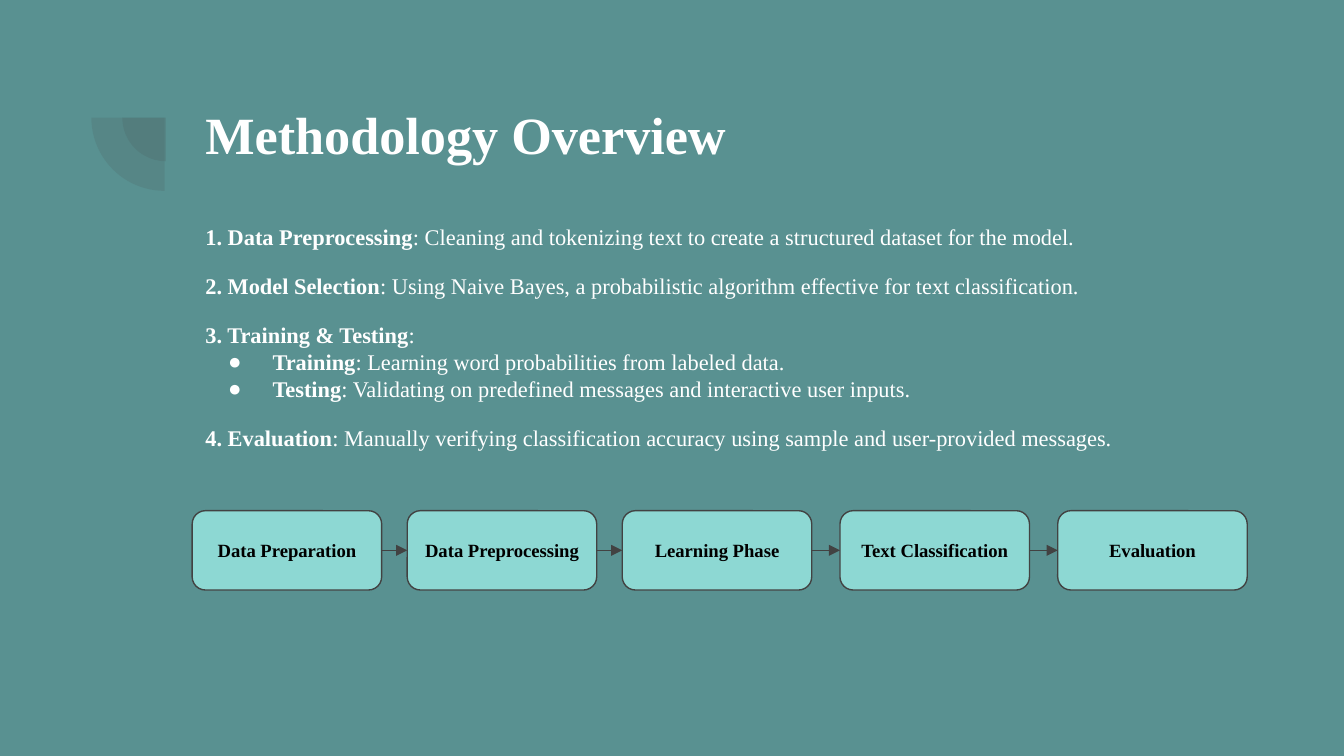
from itertools import pairwise

from lxml.etree import SubElement
from pptx import Presentation
from pptx.dml.color import RGBColor
from pptx.enum.shapes import MSO_CONNECTOR, MSO_SHAPE
from pptx.enum.text import MSO_ANCHOR, PP_ALIGN
from pptx.oxml.ns import qn
from pptx.util import Inches, Pt

FONT = "Times New Roman"
COLORS = {
    "background": "599191",
    "dark": "424242",
    "stage": "8DD8D3",
    "light": "FFFFFF",
    "label": "000000",
}


def color(name):
    return RGBColor.from_string(COLORS[name])


def add_text(paragraph, text, size, color_name, bold=True):
    run = paragraph.add_run()
    run.text = text
    font_format = {"name": FONT, "size": Pt(size), "bold": bold}
    for attribute, value in font_format.items():
        setattr(run.font, attribute, value)
    run.font.color.rgb = color(color_name)


presentation = Presentation()
presentation.slide_width = Inches(10)
presentation.slide_height = Inches(10) * 9 // 16
slide = presentation.slides.add_slide(presentation.slide_layouts[6])
slide.background.fill.solid()
slide.background.fill.fore_color.rgb = color("background")

frame_format = {
    "word_wrap": True,
    "margin_left": Inches(0.1),
    "margin_right": Inches(0.1),
    "margin_top": Inches(0.1),
    "margin_bottom": Inches(0.1),
}

for left, top, diameter in ((0.91, 0.55, 0.65), (0.68, 0.33, 1.09)):
    quarter = slide.shapes.add_shape(
        MSO_SHAPE.PIE, Inches(left), Inches(top), Inches(diameter), Inches(diameter)
    )
    quarter.rotation = 270
    quarter.adjustments[0] = 108
    quarter.adjustments[1] = 162
    quarter.shadow.inherit = False
    quarter.line.fill.background()
    quarter.fill.solid()
    quarter.fill.fore_color.rgb = color("dark")
    tint = quarter.fill._xPr.find(".//" + qn("a:srgbClr"))
    SubElement(tint, qn("a:alpha"), val="13000")

title = slide.shapes.add_textbox(Inches(1.43), Inches(0.64), Inches(7.69), Inches(0.71))
body = slide.shapes.add_textbox(Inches(1.43), Inches(1.56), Inches(7.27), Inches(3.34))
for box in (title, body):
    for attribute, value in frame_format.items():
        setattr(box.text_frame, attribute, value)

title.text_frame.vertical_anchor = MSO_ANCHOR.MIDDLE
add_text(title.text_frame.paragraphs[0], "Methodology Overview", 28, "light")

steps = [
    ("1. Data Preprocessing", ": Cleaning and tokenizing text to create a structured dataset for the model.", False),
    ("2. Model Selection", ": Using Naive Bayes, a probabilistic algorithm effective for text classification.", False),
    ("3. Training & Testing", ":", False),
    ("Training", ": Learning word probabilities from labeled data.", True),
    ("Testing", ": Validating on predefined messages and interactive user inputs.", True),
    ("4. Evaluation", ": Manually verifying classification accuracy using sample and user-provided messages.", False),
]
for index, (heading, detail, bulleted) in enumerate(steps):
    step = body.text_frame.paragraphs[0] if index == 0 else body.text_frame.add_paragraph()
    step.space_before = Pt(0 if index == 0 or bulleted else 12)
    if bulleted:
        properties = step._p.get_or_add_pPr()
        properties.set("marL", str(Inches(0.5)))
        properties.set("indent", str(Inches(-0.33)))
        bullet_color = SubElement(properties, qn("a:buClr"))
        SubElement(bullet_color, qn("a:srgbClr"), val=COLORS["light"])
        SubElement(properties, qn("a:buFont"), typeface=FONT)
        SubElement(properties, qn("a:buChar"), char="●")
    add_text(step, heading, 12, "light")
    add_text(step, detail, 12, "light", bold=False)

stage_lefts = {
    "Data Preparation": 1.43,
    "Data Preprocessing": 3.03,
    "Learning Phase": 4.63,
    "Text Classification": 6.25,
    "Evaluation": 7.87,
}
stages = []
for label, left in stage_lefts.items():
    stage = slide.shapes.add_shape(
        MSO_SHAPE.ROUNDED_RECTANGLE, Inches(left), Inches(3.8), Inches(1.41), Inches(0.59)
    )
    stage.shadow.inherit = False
    stage.fill.solid()
    stage.fill.fore_color.rgb = color("stage")
    stage.line.color.rgb = color("dark")
    stage.line.width = Pt(0.75)
    for attribute, value in frame_format.items():
        setattr(stage.text_frame, attribute, value)
    stage.text_frame.vertical_anchor = MSO_ANCHOR.MIDDLE
    caption = stage.text_frame.paragraphs[0]
    caption.alignment = PP_ALIGN.CENTER
    add_text(caption, label, 10, "label")
    stages.append(stage)

for current, following in pairwise(stages):
    arrow = slide.shapes.add_connector(MSO_CONNECTOR.STRAIGHT, 0, 0, 0, 0)
    arrow.begin_connect(current, 3)
    arrow.end_connect(following, 1)
    arrow.line.color.rgb = color("dark")
    arrow.line.width = Pt(0.75)
    SubElement(arrow.line._get_or_add_ln(), qn("a:tailEnd"), type="triangle")
    SubElement(arrow._element.spPr, qn("a:effectLst"))

presentation.save("out.pptx")
